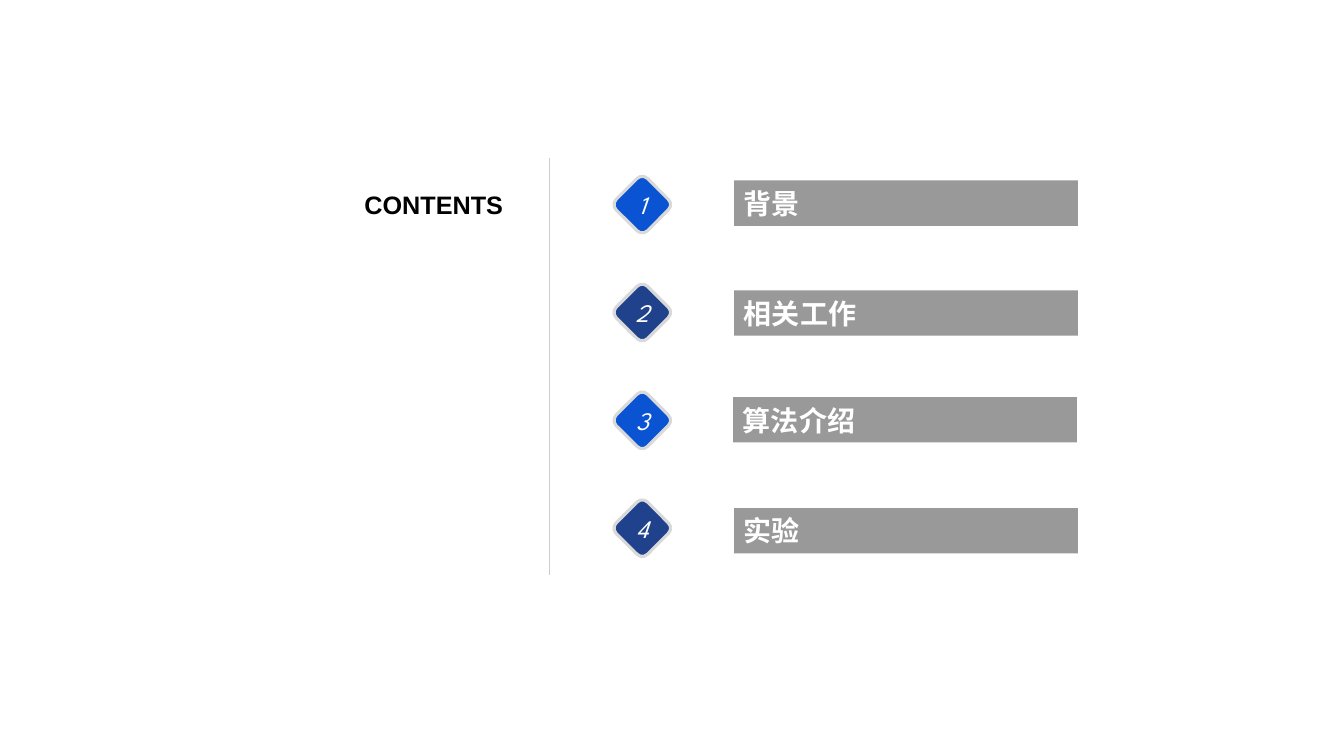
from pptx import Presentation
from pptx.dml.color import RGBColor
from pptx.enum import shapes, text
from pptx.oxml.ns import qn
from pptx.util import Inches, Pt

WHITE, BLACK, GRAY = "FFFFFF", "000000", "999999"
DIAMOND_COLORS = ("0A54D3", "20428D")
DIAMOND_TOP, DIAMOND_STEP = 1.81, 1.07
# Label, left and top of each bar
TOPICS = [
    ("背景", 7.28, 1.79),
    ("相关工作", 7.28, 2.88),
    ("算法介绍", 7.27, 3.94),
    ("实验", 7.28, 5.04),
]


def color(value):
    return RGBColor.from_string(value)


def paint(shape, value):
    shape.fill.solid()
    shape.fill.fore_color.rgb = color(value)


def write(shape, words, size, font, value, align, bold=False, italic=False):
    frame = shape.text_frame
    frame.text = words
    frame.word_wrap = True
    para = frame.paragraphs[0]
    para.alignment = align
    span = para.runs[0].font
    span.size, span.name = Pt(size), font
    span.bold, span.italic = bold, italic
    span.color.rgb = color(value)
    return frame


def add_title(page):
    title = page.shapes.title
    title.left, title.top = Inches(3.04), Inches(1.83)
    title.width, title.height = Inches(2.05), Inches(0.89)
    paint(title, WHITE)
    frame = write(title, "CONTENTS", 18, "Arial", BLACK,
                  text.PP_ALIGN.RIGHT, bold=True)
    frame.auto_size = text.MSO_AUTO_SIZE.NONE
    frame.vertical_anchor = text.MSO_ANCHOR.TOP


def add_divider(page):
    line = page.shapes.add_connector(
        shapes.MSO_CONNECTOR.STRAIGHT,
        Inches(5.45), Inches(1.57), Inches(5.45), Inches(5.7))
    line.line.color.rgb = color("CCCCCC")
    line.line.width = Pt(0.5)
    properties = line._element.spPr
    properties.append(properties.makeelement(qn("a:effectLst"), {}))


def add_bar(page, label, left, top):
    bar = page.shapes.add_shape(
        shapes.MSO_SHAPE.RECTANGLE,
        Inches(left), Inches(top), Inches(3.41), Inches(0.45))
    bar.shadow.inherit = False
    paint(bar, GRAY)
    bar.line.fill.background()
    frame = write(bar, label, 20, "Arial", WHITE,
                  text.PP_ALIGN.LEFT, bold=True)
    frame.vertical_anchor = text.MSO_ANCHOR.MIDDLE


def add_number(page, number, top, fill):
    diamond = page.shapes.add_shape(
        shapes.MSO_SHAPE.ROUNDED_RECTANGLE,
        Inches(6.15), Inches(top), Inches(0.44), Inches(0.44))
    diamond.rotation = 45
    diamond.shadow.inherit = False
    paint(diamond, fill)
    diamond.line.color.rgb = color("D9D9D9")
    diamond.line.width = Pt(2.25)

    # The digit stays upright in its own box
    box = page.shapes.add_textbox(
        Inches(6.2), Inches(top + 0.02), Inches(0.34), Inches(0.4))
    frame = write(box, str(number), 18, "League Spartan", WHITE,
                  text.PP_ALIGN.CENTER, italic=True)
    frame.margin_left = frame.margin_right = 0


def main():
    deck = Presentation()
    deck.slide_width, deck.slide_height = Inches(13.33), Inches(7.5)
    page = deck.slides.add_slide(deck.slide_layouts.get_by_name("Title Only"))

    # Heading and divider
    add_title(page)
    add_divider(page)

    # Numbered topics
    for index, (label, left, top) in enumerate(TOPICS):
        add_bar(page, label, left, top)
        add_number(page, index + 1, DIAMOND_TOP + index * DIAMOND_STEP,
                   DIAMOND_COLORS[index % 2])

    deck.save("out.pptx")


if __name__ == "__main__":
    main()
